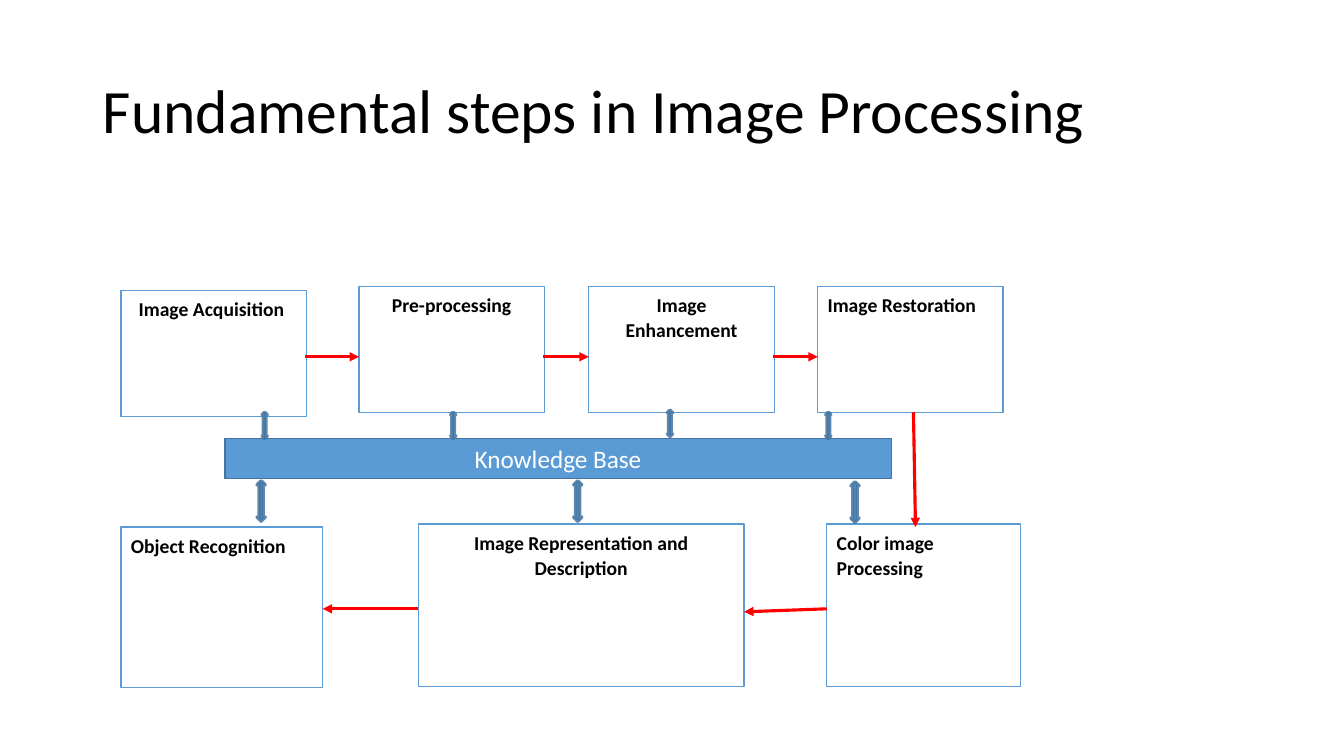
import pptx
import pptx.util
import pptx.dml.color
import pptx.enum.shapes
import pptx.enum.text
import pptx.oxml
import pptx.oxml.ns
import lxml.etree

EMU_PER_PX = 9144  # 100 px to the inch
FONT = "Calibri"
COLORS = {
    "ink": "000000",
    "paper": "FFFFFF",
    "blue": "5B9BD5",
    "dark blue": "43739E",
    "red": "FF0000",
}
SHAPES = pptx.enum.shapes.MSO_SHAPE
ANCHOR = pptx.enum.text.MSO_ANCHOR
LEFT = pptx.enum.text.PP_ALIGN.LEFT
CENTER = pptx.enum.text.PP_ALIGN.CENTER


def px(*lengths):
    return [pptx.util.Emu(length * EMU_PER_PX) for length in lengths]


def rgb(name):
    return pptx.dml.color.RGBColor.from_string(COLORS[name])


def write(frame, text, *, size, color="ink", bold=False, align=LEFT,
          anchor=ANCHOR.TOP, spacing=1.0, after=0):
    frame.word_wrap = True
    frame.auto_size = pptx.enum.text.MSO_AUTO_SIZE.NONE
    frame.vertical_anchor = anchor
    paragraph = frame.paragraphs[0]
    paragraph.alignment = align
    paragraph.line_spacing = spacing
    paragraph.space_after = pptx.util.Pt(after)
    run = paragraph.add_run()
    run.text = text
    run.font.name = FONT
    run.font.size = pptx.util.Pt(size)
    run.font.bold = bold
    run.font.color.rgb = rgb(color)


class Diagram:
    """Draws the slide's elements in one shared style."""

    def __init__(self, slide):
        self.slide = slide

    def title(self, text, bounds):
        heading = self.slide.shapes.title
        heading.left, heading.top, heading.width, heading.height = px(*bounds)
        write(heading.text_frame, text, size=44, anchor=ANCHOR.MIDDLE, spacing=0.9)

    def shape(self, kind, bounds, fill, line, weight=1):
        shape = self.slide.shapes.add_shape(kind, *px(*bounds))
        shape.shadow.inherit = False
        shape.fill.solid()
        shape.fill.fore_color.rgb = rgb(fill)
        shape.line.color.rgb = rgb(line)
        shape.line.width = pptx.util.Pt(weight)
        return shape

    def step(self, text, bounds, align):
        box = self.shape(SHAPES.RECTANGLE, bounds, "paper", "blue")
        write(box.text_frame, text, size=14, bold=True, align=align,
              spacing=1.07, after=8)

    def knowledge_base(self, text, bounds):
        bar = self.shape(SHAPES.RECTANGLE, bounds, "blue", "dark blue")
        write(bar.text_frame, text, size=18, color="paper", align=CENTER,
              anchor=ANCHOR.MIDDLE)

    def exchange(self, bounds):
        """Two-way arrow between a step and the knowledge base."""
        arrow = self.shape(SHAPES.UP_DOWN_ARROW, bounds, "blue", "dark blue", 2.5)
        line_color = arrow.line._ln.find(".//" + pptx.oxml.ns.qn("a:srgbClr"))
        alpha = lxml.etree.SubElement(line_color, pptx.oxml.ns.qn("a:alpha"))
        alpha.set("val", "83000")

    def flow(self, start, end):
        """Red arrow from one step to the next."""
        arrow = self.slide.shapes.add_connector(
            pptx.enum.shapes.MSO_CONNECTOR.STRAIGHT, *px(*start, *end))
        arrow.line.color.rgb = rgb("red")
        arrow.line.width = pptx.util.Pt(2.25)
        head = lxml.etree.SubElement(arrow.line._ln, pptx.oxml.ns.qn("a:tailEnd"))
        head.set("type", "triangle")
        lxml.etree.SubElement(arrow._element.spPr, pptx.oxml.ns.qn("a:effectLst"))


STEPS = [
    ("Image Acquisition ", (120, 288, 184, 125), CENTER),
    ("Pre-processing", (356, 284, 184, 125), CENTER),
    ("Image Enhancement", (584, 284, 184, 125), CENTER),
    ("Image Restoration", (811, 284, 184, 125), LEFT),
    ("Color image Processing", (820, 520, 192, 161), LEFT),
    ("Image Representation and Description", (415, 520, 323, 161), CENTER),
    ("Object Recognition", (120, 523, 200, 159), LEFT),
]
FLOWS = [
    ((303, 354), (356, 354)),
    ((539, 354), (584, 354)),
    ((767, 354), (811, 354)),
    ((906, 409), (908, 523)),
    ((820, 604), (738, 607)),
    ((415, 604), (320, 604)),
]
UPPER_EXCHANGES = [(260, 409), (447, 409), (662, 407), (819, 409)]
LOWER_EXCHANGES = [(255, 477), (569, 477), (844, 478)]


def main():
    deck = pptx.Presentation()
    deck.slide_width, deck.slide_height = px(1333, 750)
    diagram = Diagram(deck.slides.add_slide(deck.slide_layouts[5]))

    diagram.title("Fundamental steps in Image Processing", (92, 40, 1150, 145))
    for text, bounds, align in STEPS:
        diagram.step(text, bounds, align)
    for start, end in FLOWS:
        diagram.flow(start, end)
    diagram.knowledge_base("Knowledge Base", (223, 435, 661, 40))
    for corner in UPPER_EXCHANGES:
        diagram.exchange((*corner, 5, 26))
    for corner in LOWER_EXCHANGES:
        diagram.exchange((*corner, 8, 40))

    deck.save("out.pptx")


if __name__ == "__main__":
    main()
